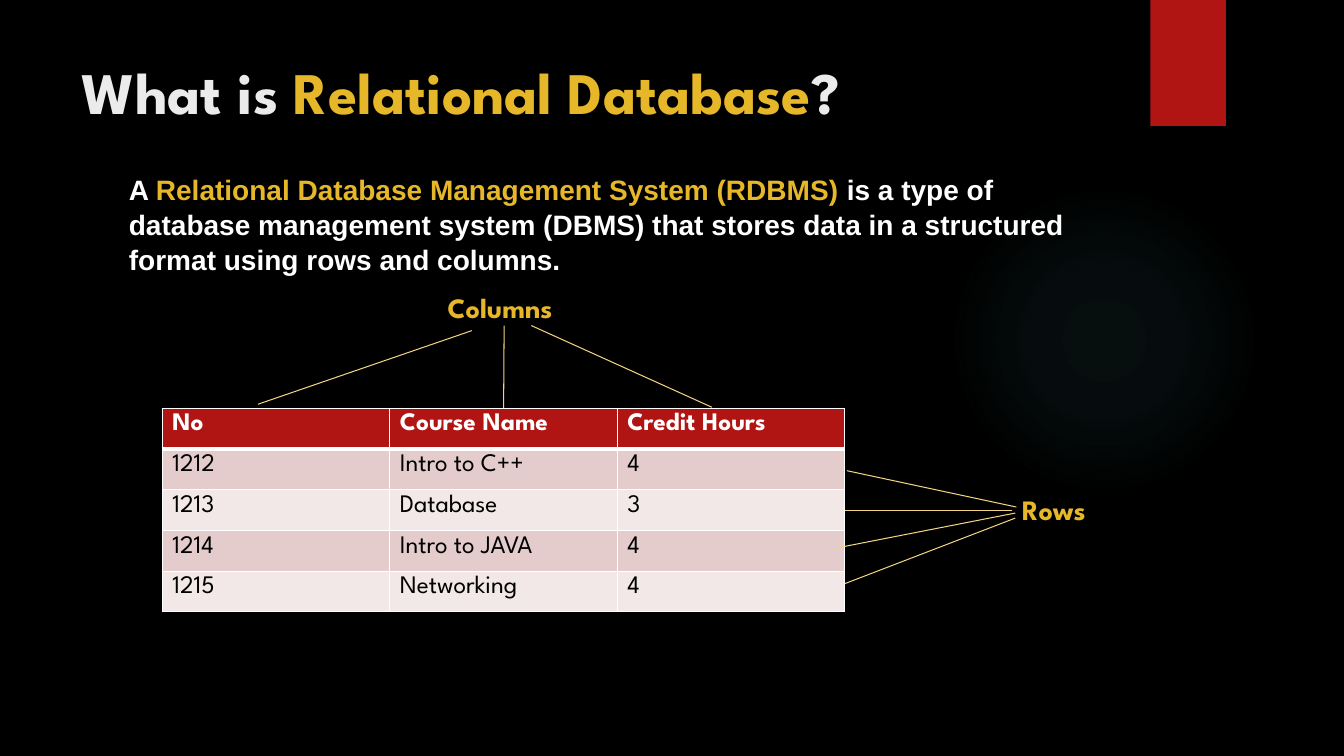
"""Builds the slide that explains what a relational database is."""
import dataclasses
import typing

import lxml.etree
import pptx
import pptx.dml.color
import pptx.enum.shapes
import pptx.enum.text
import pptx.oxml
import pptx.oxml.ns
import pptx.util

SCALE = 9144
SPARTAN = "League Spartan"
GOLD = "E6B729"
RED = "B01513"
WHITE = "FFFFFF"
PALE = "EBEBEB"
BLACK = "000000"
LINE = "F0D47F"
GLOW = "50B9C1"
BANDS = ("E4CCCC", "F2E8E7")
SPACE = pptx.oxml.ns.nsdecls("a")


@dataclasses.dataclass
class Box:
    left: int
    top: int
    width: int
    height: int


@dataclasses.dataclass
class Label:
    text: str
    box: Box


@dataclasses.dataclass
class Ray:
    start: tuple[int, int]
    end: tuple[int, int]


@dataclasses.dataclass
class Piece:
    text: str
    tint: str


GRID = Box(161, 405, 677, 202)
DATA = (
    ("No", "Course Name", "Credit Hours"),
    ("1212", "Intro to C++", "4"),
    ("1213", "Database", "3"),
    ("1214", "Intro to JAVA", "4"),
    ("1215", "Networking", "4"),
)
TITLE = (Piece("What is ", PALE), Piece("Relational Database", GOLD), Piece("?", PALE))
BODY = (
    Piece("A ", WHITE),
    Piece("Relational Database Management System (RDBMS) ", GOLD),
    Piece("is a type of database management system (DBMS) that stores data "
          "in a structured format using rows and columns.", WHITE),
)
COLUMNS = Label("Columns", Box(434, 283, 151, 44))
ROWS = Label("Rows", Box(1004, 484, 110, 44))
RAYS = (
    Ray((256, 401), (468, 328)),
    Ray((706, 404), (527, 323)),
    Ray((1007, 514), (838, 579)),
    Ray((1007, 509), (828, 544)),
    Ray((1008, 503), (840, 467)),
)


def px(count: int) -> pptx.util.Emu:
    return pptx.util.Emu(count * SCALE)


def frame(box: Box) -> tuple[pptx.util.Emu, ...]:
    return px(box.left), px(box.top), px(box.width), px(box.height)


def tint(code: str) -> pptx.dml.color.RGBColor:
    return pptx.dml.color.RGBColor.from_string(code)


def paint(fill: typing.Any, code: str) -> None:
    fill.solid()
    fill.fore_color.rgb = tint(code)


def style(run: typing.Any, face: str, size: int, code: str, bold: bool = True) -> None:
    run.font.name = face
    run.font.size = pptx.util.Pt(size)
    run.font.bold = bold
    run.font.color.rgb = tint(code)


def write(shape: typing.Any, pieces: typing.Sequence[Piece], face: str, size: int) -> typing.Any:
    text = shape.text_frame
    text.word_wrap = True
    text.auto_size = pptx.enum.text.MSO_AUTO_SIZE.NONE
    text.vertical_anchor = pptx.enum.text.MSO_ANCHOR.TOP
    line = text.paragraphs[0]
    line.alignment = pptx.enum.text.PP_ALIGN.LEFT
    for piece in pieces:
        run = line.add_run()
        run.text = piece.text
        style(run, face, size, piece.tint)
    return line


def add_text(slide: typing.Any, box: Box, pieces: typing.Sequence[Piece], face: str) -> typing.Any:
    shape = slide.shapes.add_textbox(*frame(box))
    write(shape, pieces, face, 20)
    return shape


def add_shape(slide: typing.Any, kind: typing.Any, box: Box, code: str) -> typing.Any:
    shape = slide.shapes.add_shape(kind, *frame(box))
    shape.shadow.inherit = False
    shape.line.fill.background()
    paint(shape.fill, code)
    return shape


def add_glow(slide: typing.Any) -> None:
    kind = pptx.enum.shapes.MSO_SHAPE.OVAL
    shape = add_shape(slide, kind, Box(941, 183, 308, 308), GLOW)
    stops = "".join(
        f'<a:gs pos="{spot}000"><a:srgbClr val="{GLOW}"><a:alpha val="{alpha}000"/></a:srgbClr></a:gs>'
        for spot, alpha in ((0, 7), (36, 6), (69, 0)))
    blend = pptx.oxml.parse_xml(
        f'<a:gradFill {SPACE}><a:gsLst>{stops}</a:gsLst><a:path path="circle">'
        '<a:fillToRect l="50000" t="50000" r="50000" b="50000"/></a:path></a:gradFill>')
    solid = shape.element.spPr.find(pptx.oxml.ns.qn("a:solidFill"))
    shape.element.spPr.replace(solid, blend)


def add_ray(slide: typing.Any, ray: Ray) -> typing.Any:
    kind = pptx.enum.shapes.MSO_CONNECTOR.STRAIGHT
    link = slide.shapes.add_connector(kind, *map(px, ray.start + ray.end))
    link.line.color.rgb = tint(LINE)
    link.line.width = pptx.util.Pt(0.75)
    lxml.etree.SubElement(link.element.spPr, pptx.oxml.ns.qn("a:effectLst"))
    return link


def edge(cell: typing.Any, row: int) -> None:
    widths = {"L": 1, "R": 1, "T": 3 if row == 1 else 1, "B": 3 if row == 0 else 1}
    props = cell._tc.get_or_add_tcPr()
    for spot, (side, width) in enumerate(widths.items()):
        props.insert(spot, pptx.oxml.parse_xml(
            f'<a:ln{side} {SPACE} w="{pptx.util.Pt(width)}"><a:solidFill>'
            f'<a:srgbClr val="{WHITE}"/></a:solidFill></a:ln{side}>'))


def add_grid(slide: typing.Any) -> typing.Any:
    shape = slide.shapes.add_table(len(DATA), len(DATA[0]), *frame(GRID))
    for row, words in enumerate(DATA):
        head = row == 0
        for col, word in enumerate(words):
            cell = shape.table.cell(row, col)
            cell.text_frame.text = word
            run = cell.text_frame.paragraphs[0].runs[0]
            style(run, SPARTAN, 18, WHITE if head else BLACK, head)
            paint(cell.fill, RED if head else BANDS[(row - 1) % 2])
            edge(cell, row)
    return shape


def main() -> None:
    deck = pptx.Presentation()
    deck.slide_width, deck.slide_height = px(1333), px(750)
    slide = deck.slides.add_slide(deck.slide_layouts[5])
    paint(slide.background.fill, BLACK)
    add_glow(slide)
    add_shape(slide, pptx.enum.shapes.MSO_SHAPE.RECTANGLE, Box(1141, 0, 75, 125), RED)

    title = slide.shapes.title
    title.left, title.top, title.width, title.height = frame(Box(71, 50, 1029, 153))
    write(title, TITLE, SPARTAN, 42)
    body = add_text(slide, Box(118, 165, 978, 481), BODY, "Arial")
    body.text_frame.paragraphs[0].line_spacing = 1.04

    grid = add_grid(slide)
    for ray in RAYS:
        add_ray(slide, ray)
    names = [add_text(slide, label.box, [Piece(label.text, GOLD)], SPARTAN)
             for label in (COLUMNS, ROWS)]
    drop = add_ray(slide, Ray((500, 323), (500, 405)))
    drop.end_connect(grid, 0)
    across = add_ray(slide, Ray((1004, 506), (838, 506)))
    across.begin_connect(names[1], 1)
    across.end_connect(grid, 3)
    deck.save("out.pptx")


if __name__ == "__main__":
    main()
